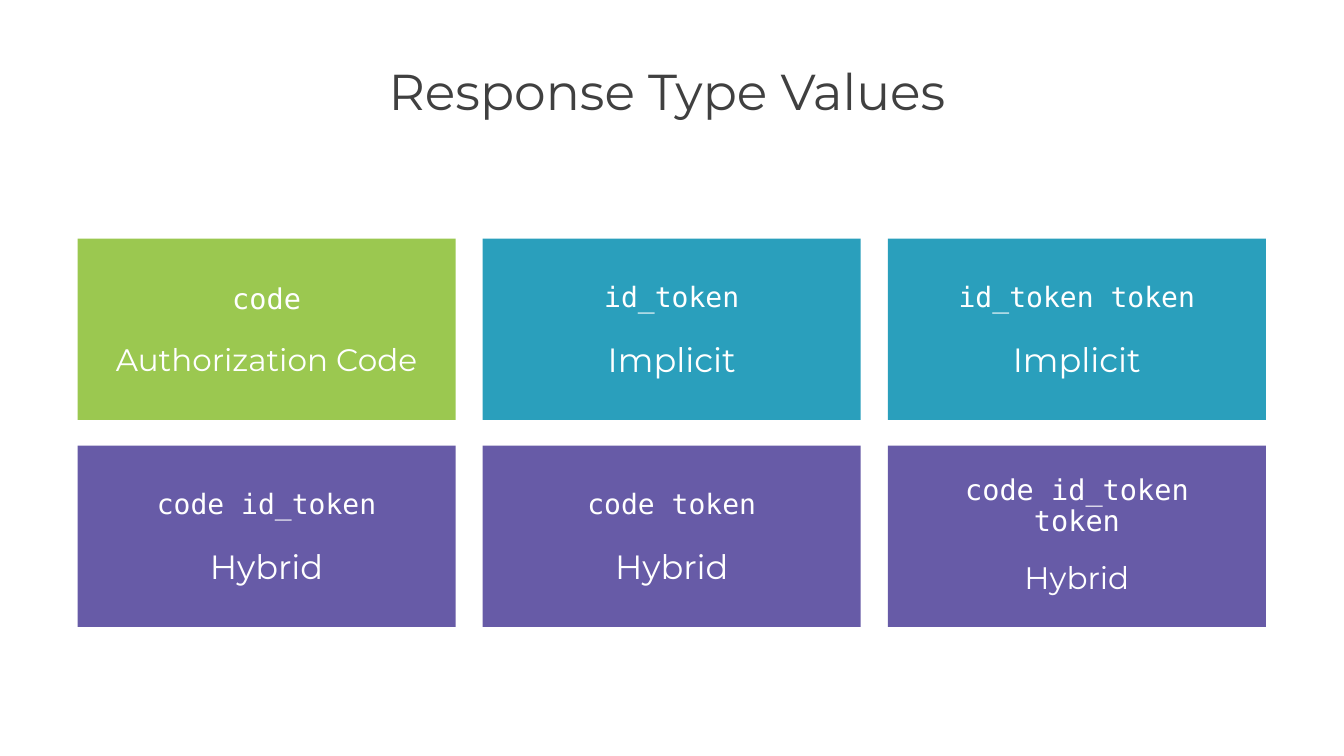
from pptx import Presentation
from pptx.dml.color import RGBColor
from pptx.enum.shapes import MSO_SHAPE
from pptx.enum.text import MSO_ANCHOR, PP_ALIGN
from pptx.util import Pt

GREEN, BLUE, PURPLE = "9BC850", "2A9FBC", "675BA7"
WHITE, GREY = "FFFFFF", "404040"


def color(value):
    return RGBColor.from_string(value)


class SlideBuilder:
    sans = "Montserrat"
    mono = "DejaVu Sans Mono"

    def __init__(self, page):
        self.page = page

    def set_frame(self, frame, anchor, insets):
        frame.word_wrap = True
        frame.vertical_anchor = anchor
        left, top, right, bottom = insets
        frame.margin_left, frame.margin_top = Pt(left), Pt(top)
        frame.margin_right, frame.margin_bottom = Pt(right), Pt(bottom)

    def set_para(self, para, text, font, size, ink, spacing, before=0):
        para.text = text
        para.alignment = PP_ALIGN.CENTER
        para.line_spacing = spacing
        para.space_before = Pt(before)
        para.font.name = font
        para.font.size = Pt(size)
        para.font.color.rgb = color(ink)

    def title(self, text, left, top, width, height):
        box = self.page.shapes.add_textbox(Pt(left), Pt(top), Pt(width), Pt(height))
        frame = box.text_frame
        self.set_frame(frame, MSO_ANCHOR.TOP, (0, 3.6, 7.2, 3.6))
        self.set_para(frame.paragraphs[0], text, self.sans, 36, GREY, 0.85)

    def card(self, left, top, width, height, fill, value, flow, sizes, spacing):
        box = self.page.shapes.add_shape(
            MSO_SHAPE.RECTANGLE, Pt(left), Pt(top), Pt(width), Pt(height))
        box.shadow.inherit = False
        box.fill.solid()
        box.fill.fore_color.rgb = color(fill)
        box.line.fill.background()
        frame = box.text_frame
        self.set_frame(frame, MSO_ANCHOR.MIDDLE, (21.6,) * 4)
        value_size, flow_size = sizes
        self.set_para(frame.paragraphs[0], value, self.mono, value_size, WHITE, spacing, 18)
        self.set_para(frame.add_paragraph(), flow, self.sans, flow_size, WHITE, spacing, 18)


deck = Presentation()
deck.slide_width, deck.slide_height = Pt(960), Pt(540)
builder = SlideBuilder(deck.slides.add_slide(deck.slide_layouts[6]))

LEFT, TOP = 55.4, 170.5
CARD_WIDTH, CARD_HEIGHT = 270, 129.5
GAP_X, GAP_Y = 19.4, 18.3
COLUMNS = 3
NORMAL, COMPACT = (20, 24), (20.4, 22.2)

response_types = [
    (GREEN, "code", "Authorization Code", COMPACT, 1),
    (BLUE, "id_token", "Implicit", NORMAL, 1),
    (BLUE, "id_token token", "Implicit", NORMAL, 1),
    (PURPLE, "code id_token", "Hybrid", NORMAL, 1),
    (PURPLE, "code token", "Hybrid", NORMAL, 1),
    (PURPLE, "code id_token token", "Hybrid", COMPACT, 0.9),
]

builder.title("Response Type Values", LEFT, 46, 849, 34.6)
for index, response_type in enumerate(response_types):
    row, column = divmod(index, COLUMNS)
    builder.card(
        LEFT + column * (CARD_WIDTH + GAP_X), TOP + row * (CARD_HEIGHT + GAP_Y),
        CARD_WIDTH, CARD_HEIGHT, *response_type)

deck.save("out.pptx")
